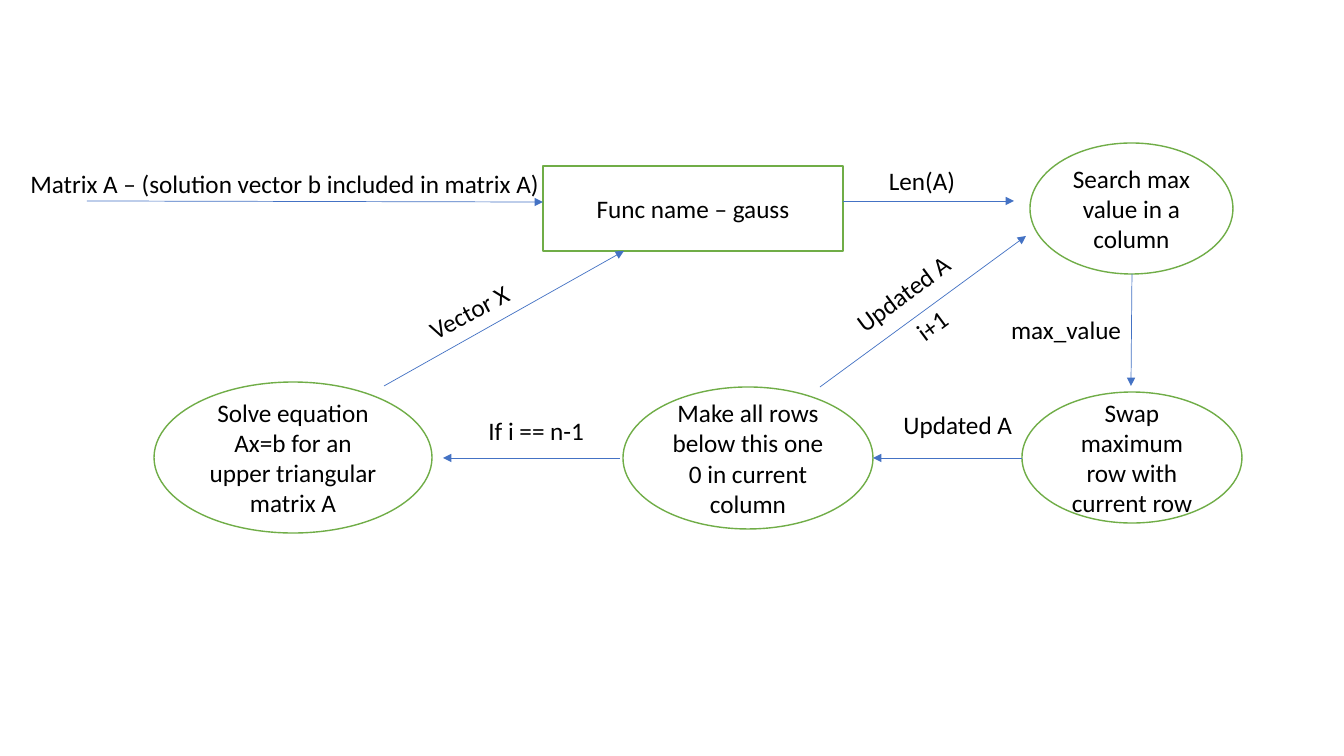
from lxml import etree
from pptx import Presentation
from pptx.dml.color import RGBColor
from pptx.enum.shapes import MSO_CONNECTOR, MSO_SHAPE
from pptx.enum.text import MSO_ANCHOR, PP_ALIGN
from pptx.oxml.ns import qn
from pptx.util import Pt

SCALE = 914400 / 100.8
RECT, OVAL = MSO_SHAPE.RECTANGLE, MSO_SHAPE.OVAL
LINE = MSO_CONNECTOR.STRAIGHT
MIDDLE, TOP = MSO_ANCHOR.MIDDLE, MSO_ANCHOR.TOP
CENTER, RIGHT = PP_ALIGN.CENTER, PP_ALIGN.RIGHT
COLORS = {"paper": "FFFFFF", "edge": "70AD47", "arrow": "4472C4", "ink": "000000"}
FONT = {"name": "Calibri", "size": Pt(18)}

NODES = [
    (RECT, (543, 166, 300, 85), "Func name – gauss"),
    (OVAL, (1030, 143, 203, 131), "Search max value in a column"),
    (OVAL, (1022, 392, 220, 131), "Swap maximum row with current row"),
    (OVAL, (623, 387, 250, 142), "Make all rows below this one 0 in current column"),
    (OVAL, (154, 382, 278, 151), "Solve equation Ax=b for an upper triangular matrix A"),
]
ARROWS = [
    (87, 201, 543, 202),
    (843, 201, 1014, 201),
    (1132, 274, 1131, 386),
    (1022, 458, 873, 458),
    (820, 387, 1026, 236),
    (620, 458, 443, 458),
    (384, 386, 624, 251),
]
LABELS = [
    ((0, 163, 549, 40), "Matrix A – (solution vector b included in matrix A)", 0),
    ((838, 160, 127, 40), "Len(A)", 0),
    ((980, 309, 151, 40), "max_value", 0),
    ((871, 404, 151, 40), "Updated A", 0),
    ((818, 280, 151, 40), "Updated A", 323.3),
    ((862, 320, 100, 40), "i+1", 323.3),
    ((443, 410, 151, 40), "If i == n-1", 0),
    ((373, 302, 151, 40), "Vector X", 332.1),
]


def px(*vals):
    """Turn pixels into EMU."""
    return [round(val * SCALE) for val in vals]


def tint(name):
    """Look up a colour by name."""
    return RGBColor.from_string(COLORS[name])


def write(shape, text, align, anchor):
    """Put one styled paragraph into a shape."""
    frame = shape.text_frame
    frame.word_wrap = True
    frame.vertical_anchor = anchor
    para = frame.paragraphs[0]
    para.alignment = align
    run = para.add_run()
    run.text = text
    for key, val in FONT.items():
        setattr(run.font, key, val)
    run.font.color.rgb = tint("ink")


def add_node(slide, kind, box, text):
    """Draw an outlined step of the flow."""
    node = slide.shapes.add_shape(kind, *px(*box))
    node.shadow.inherit = False
    node.fill.solid()
    node.fill.fore_color.rgb = tint("paper")
    node.line.color.rgb = tint("edge")
    node.line.width = Pt(1)
    write(node, text, CENTER, MIDDLE)


def add_arrow(slide, ends):
    """Draw a thin line with a triangle at its end."""
    arrow = slide.shapes.add_connector(LINE, *px(*ends))
    arrow.line.color.rgb = tint("arrow")
    arrow.line.width = Pt(0.5)
    etree.SubElement(arrow.line._get_or_add_ln(), qn("a:tailEnd"), type="triangle")
    etree.SubElement(arrow._element.spPr, qn("a:effectLst"))


def add_label(slide, box, text, turn):
    """Place the caption of an arrow, turned along it."""
    label = slide.shapes.add_textbox(*px(*box))
    label.rotation = turn
    write(label, text, RIGHT, TOP)


def add_flow(slide):
    """Build the whole function diagram."""
    for node in NODES:
        add_node(slide, *node)
    for ends in ARROWS:
        add_arrow(slide, ends)
    for label in LABELS:
        add_label(slide, *label)


deck = Presentation()
deck.slide_width, deck.slide_height = px(1344, 756)
add_flow(deck.slides.add_slide(deck.slide_layouts[6]))
deck.save("out.pptx")
